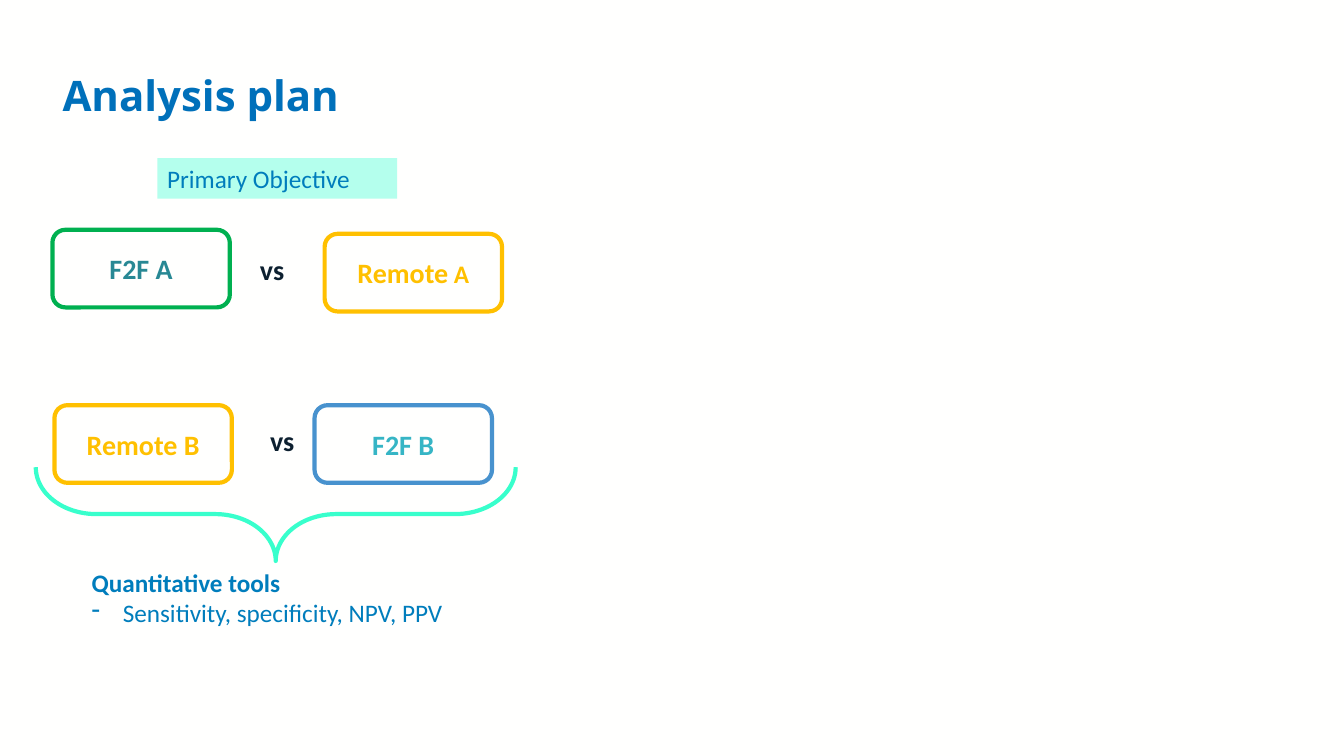
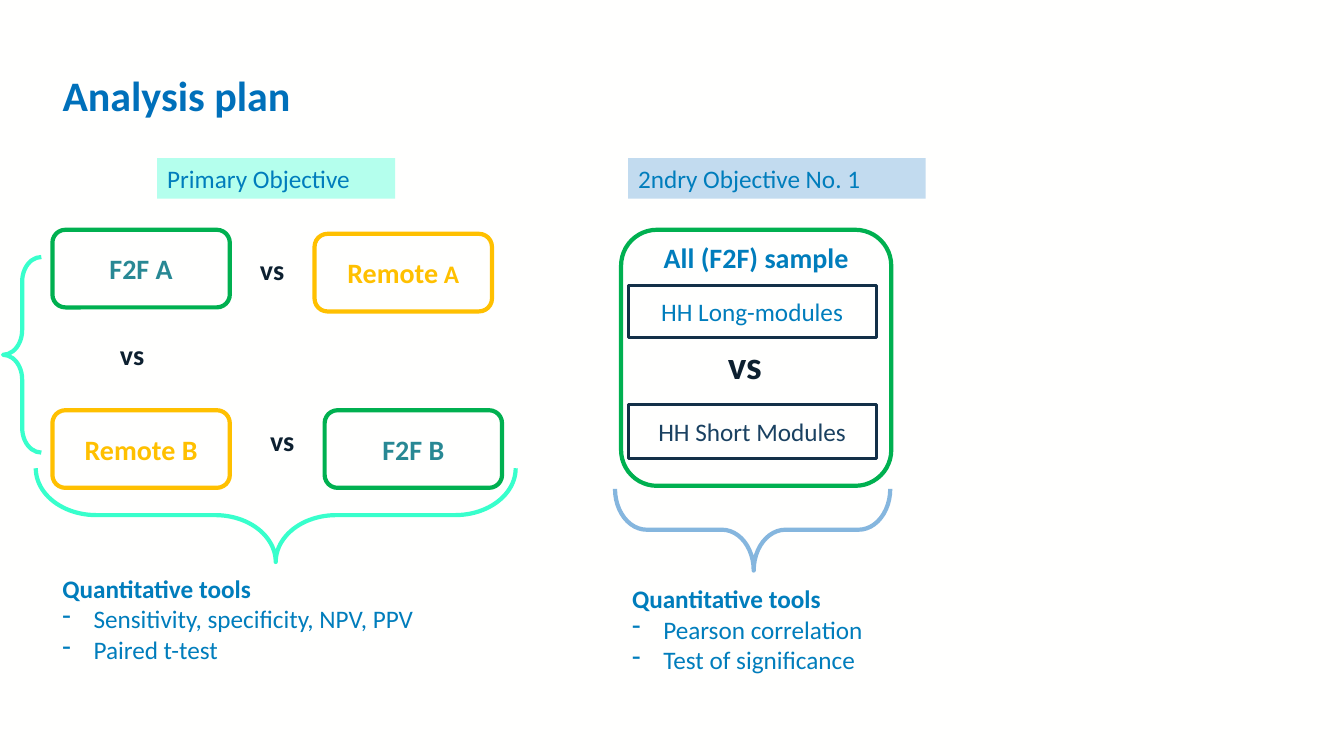
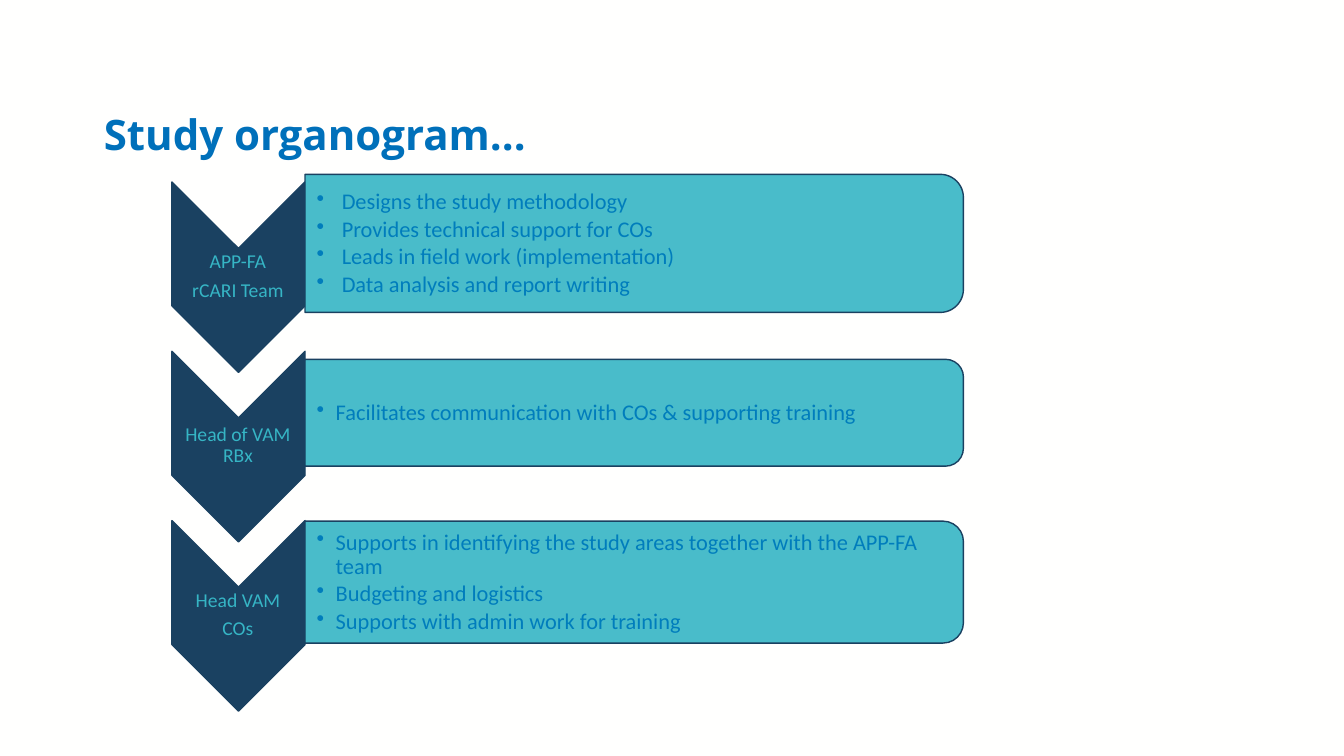
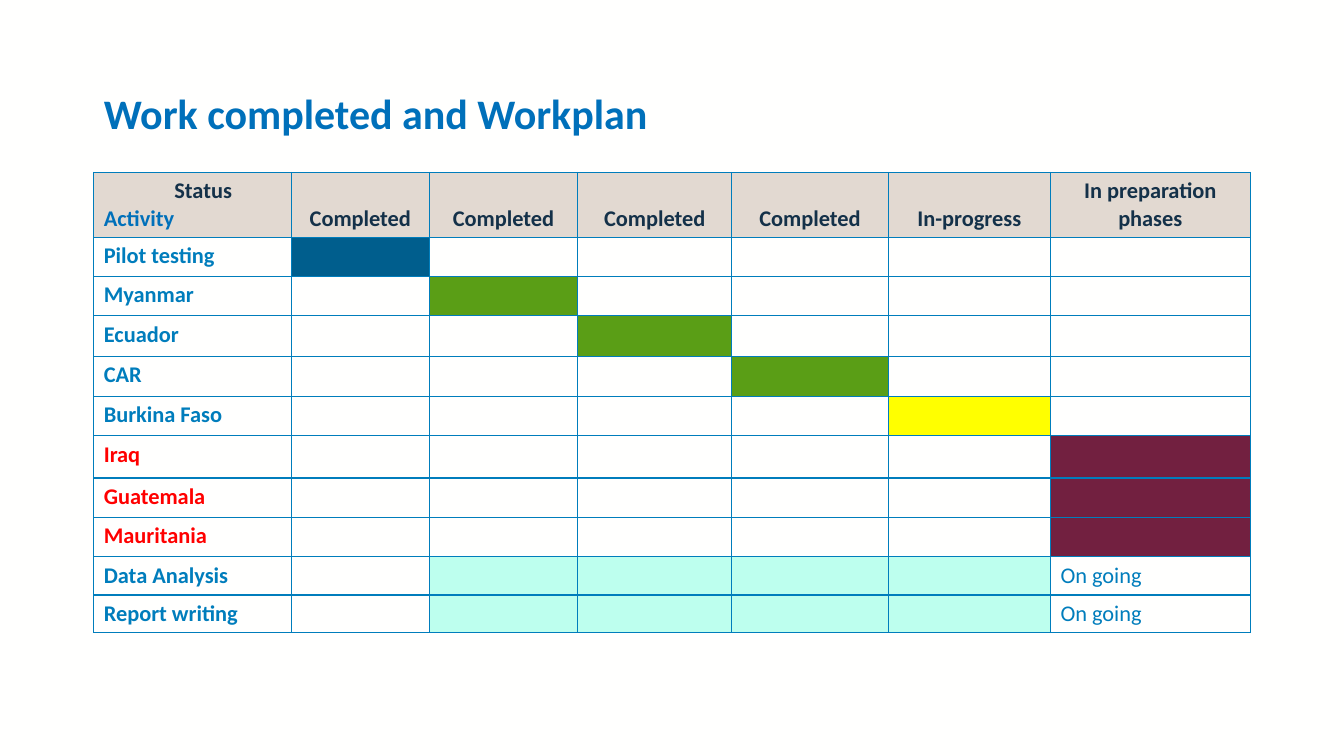
from lxml.etree import SubElement
from pptx import Presentation
from pptx.dml.color import RGBColor
from pptx.enum.shapes import MSO_SHAPE
from pptx.enum.text import MSO_ANCHOR, PP_ALIGN
from pptx.oxml.ns import qn
from pptx.util import Inches, Pt

COLORS = {
    "paper": "FFFFFE", "title": "0070BA", "text": "007DBC", "ink": "0D2030",
    "green": "00B050", "teal": "288894", "gold": "FFC000", "sky": "4892CE",
    "aqua": "36B5C5", "mint": "38FFCC", "pale": "B4FFED", "ice": "C2DBEF",
    "steel": "85B6DE", "navy": "1A4161", "dark": "133048", "head": "143149",
    "sand": "E2D9D1", "blue": "005E8D", "leaf": "5A9E16", "yellow": "FFFF00",
    "wine": "722040", "foam": "BDFFEE", "red": "FF0000",
}

REMOTE = [("Remote", 20), (" A", 18)]
TOOLS = "Quantitative tools"
STATS = "Sensitivity, specificity, NPV, PPV"
PLANS = [
    {
        "font": "Open Sans",
        "cards": [
            (0.52, 2.28, "F2F A", "green", "teal"),
            (3.22, 2.32, REMOTE, "gold", "gold"),
            (0.54, 4.02, "Remote B", "gold", "gold"),
            (3.12, 4.02, "F2F B", "sky", "aqua"),
        ],
        "versus": [(2.48, 2.46), (2.58, 4.15)],
        "braces": [((2.27, 2.72, 0.93, 4.76), 270, 0.645, 0.5, "mint")],
        "tags": [((1.56, 1.57, 2.38, 0.4), "Primary Objective", "pale")],
        "tools": [((0.81, 5.58, 4.45, 0.71), [STATS])],
    },
    {
        "font": "Calibri",
        "cards": [
            (0.52, 2.28, "F2F A", "green", "teal"),
            (3.12, 2.32, REMOTE, "gold", "gold"),
            (0.52, 4.07, "Remote B", "gold", "gold"),
            (3.22, 4.07, "F2F B", "green", "teal"),
        ],
        "versus": [(2.48, 2.46), (2.58, 4.15), (1.09, 3.3)],
        "braces": [
            ((2.27, 2.73, 0.93, 4.76), 270, 0.645, 0.5, "mint"),
            ((7.06, 3.89, 0.81, 2.73), 270, 0.388, 0.504, "steel"),
            ((0.03, 2.55, 0.38, 1.94), 0, 0.645, 0.5, "mint"),
        ],
        "tags": [
            ((1.56, 1.57, 2.36, 0.4), "Primary Objective", "pale"),
            ((6.23, 1.57, 2.95, 0.4), "2ndry Objective No. 1", "ice"),
        ],
        "tools": [
            ((0.52, 5.64, 4.76, 1.01), [STATS, "Paired t-test"]),
            ((6.17, 5.74, 3.15, 1.01), ["Pearson correlation", "Test of significance"]),
        ],
    },
]
MODULES = [
    (2.83, 0.52, "HH Long-modules", "text"),
    (4.01, 0.54, "HH Short Modules", "navy"),
]
TEAMS = [
    (["APP-FA", "rCARI Team"], 1.37, 0.25, [
        "Designs the study methodology",
        "Provides technical support for COs",
        "Leads in field work (implementation)",
        "Data analysis and report writing",
    ]),
    (["Head of VAM RBx"], 1.06, 0.19, [
        "Facilitates communication with COs & supporting training",
    ]),
    (["Head VAM", "COs"], 1.21, 0.19, [
        "Supports in identifying the study areas together with the APP-FA team",
        "Budgeting and logistics",
        "Supports with admin work for training",
    ]),
]
STATUS = ["Completed"] * 4 + ["In-progress", "In preparation phases"]
TASKS = [
    ("Pilot testing", "text", [1], "blue", ""),
    ("Myanmar", "text", [2], "leaf", ""),
    ("Ecuador", "text", [3], "leaf", ""),
    ("CAR", "text", [4], "leaf", ""),
    ("Burkina Faso", "text", [5], "yellow", ""),
    ("Iraq", "red", [6], "wine", ""),
    ("Guatemala", "red", [6], "wine", ""),
    ("Mauritania", "red", [6], "wine", ""),
    ("Data Analysis", "text", [2, 3, 4, 5], "foam", "On going"),
    ("Report writing", "text", [2, 3, 4, 5], "foam", "On going"),
]
WIDTHS = [1.96, 1.37, 1.47, 1.53, 1.55, 1.61, 1.98]
HEIGHTS = [0.64, 0.39, 0.39, 0.4, 0.4, 0.39, 0.42, 0.39, 0.39, 0.38, 0.37]


def rgb(name):
    return RGBColor.from_string(COLORS[name])


def place(at):
    return [Inches(n) for n in at]


def write(para, text, size, color, bold=False, font="Calibri", align=PP_ALIGN.LEFT):
    para.alignment = align
    runs = [(text, size)] if isinstance(text, str) else text
    for words, points in runs:
        run = para.add_run()
        run.text = words
        run.font.name = font
        run.font.size = Pt(points)
        run.font.bold = bold
        run.font.color.rgb = rgb(color)


def paras(frame, count):
    return [frame.paragraphs[0]] + [frame.add_paragraph() for _ in range(count - 1)]


def bullet(para, mark, indent):
    props = para._p.get_or_add_pPr()
    props.set("marL", str(Inches(indent)))
    props.set("indent", str(-Inches(indent)))
    SubElement(props, qn("a:buChar"), char=mark)


def head(slide, text, at, font):
    title = slide.shapes.title
    title.left, title.top, title.width, title.height = place(at)
    frame = title.text_frame
    frame.word_wrap = True
    frame.vertical_anchor = MSO_ANCHOR.MIDDLE
    para = frame.paragraphs[0]
    para.line_spacing = 0.9
    write(para, text, 30, "title", True, font)


def draw(slide, kind, at, fill=None, line=None, width=3, turn=0, adjust=()):
    shape = slide.shapes.add_shape(kind, *place(at))
    shape.shadow.inherit = False
    shape.rotation = turn
    for i, value in enumerate(adjust):
        shape.adjustments[i] = value
    if fill:
        shape.fill.solid()
        shape.fill.fore_color.rgb = rgb(fill)
    else:
        shape.fill.background()
    if line:
        shape.line.color.rgb = rgb(line)
        shape.line.width = Pt(width)
    else:
        shape.line.fill.background()
    return shape


def label(shape, text, size, color, bold=False, align=PP_ALIGN.CENTER):
    write(shape.text_frame.paragraphs[0], text, size, color, bold, align=align)


def textbox(slide, at, insets=None, middle=False):
    frame = slide.shapes.add_textbox(*place(at)).text_frame
    frame.word_wrap = True
    if middle:
        frame.vertical_anchor = MSO_ANCHOR.MIDDLE
    if insets:
        (frame.margin_left, frame.margin_top,
         frame.margin_right, frame.margin_bottom) = place(insets)
    return frame


def versus(slide, left, top, size=20):
    frame = textbox(slide, (left, top, 0.64, size / 50 + 0.04))
    write(frame.paragraphs[0], "vs", size, "ink", True)


def plan(slide, data):
    head(slide, "Analysis plan", (0.52, 0.34, 11.53, 1.26), data["font"])
    for left, top, text, line, color in data["cards"]:
        card = draw(slide, MSO_SHAPE.ROUNDED_RECTANGLE, (left, top, 1.76, 0.77), line=line)
        label(card, text, 20, color, True)
    for left, top in data["versus"]:
        versus(slide, left, top)
    for at, turn, curve, tip, line in data["braces"]:
        draw(slide, MSO_SHAPE.LEFT_BRACE, at, line=line, turn=turn, adjust=(curve, tip))
    for at, text, fill in data["tags"]:
        label(draw(slide, MSO_SHAPE.RECTANGLE, at, fill), text, 18, "text", align=PP_ALIGN.LEFT)
    for at, items in data["tools"]:
        first, *rest = paras(textbox(slide, at), len(items) + 1)
        write(first, TOOLS, 18, "text", True)
        for para, item in zip(rest, items):
            bullet(para, "-", 0.31)
            write(para, item, 18, "text")


def sample(slide):
    card = draw(slide, MSO_SHAPE.ROUNDED_RECTANGLE, (6.16, 2.28, 2.68, 2.54),
                "paper", "green", adjust=(0.14,))
    card.text_frame.vertical_anchor = MSO_ANCHOR.TOP
    card.text_frame.margin_top = 0
    label(card, "All (F2F) sample", 20, "text", True)
    for top, height, text, color in MODULES:
        box = draw(slide, MSO_SHAPE.RECTANGLE, (6.23, top, 2.46, height), "paper", "dark", 2.25)
        label(box, text, 18, color)
    versus(slide, 7.12, 3.33, 28)


def chart(slide):
    head(slide, "Study organogram…", (0.93, 0.73, 11.53, 1.26), "Open Sans")
    for i, (names, depth, indent, duties) in enumerate(TEAMS):
        mid = 2.42 + 1.68 * i
        low = mid + 0.33
        draw(slide, MSO_SHAPE.CHEVRON, (1.42, low - 0.66, 1.89, 1.32), "navy", "navy", 1, 90)
        frame = textbox(slide, (1.7, low - 0.29, 1.32, 0.57), [0.01] * 4, True)
        for para, name in zip(paras(frame, len(names)), names):
            para.line_spacing = 0.9
            para.space_after = Pt(4.9)
            write(para, name, 14, "aqua", align=PP_ALIGN.CENTER)
        panel = draw(slide, MSO_SHAPE.ROUND_2_SAME_RECTANGLE,
                     (6.29 - depth / 2, mid - 3.27, depth, 6.53), "aqua", "navy", 1, 90)
        tint = panel._element.spPr.find(qn("a:solidFill"))[0]
        SubElement(tint, qn("a:alpha"), val="90000")
        height = depth - 0.12
        frame = textbox(slide, (3.02, mid - height / 2, 6.47, height),
                        (0.12, 0.01, 0.01, 0.01), True)
        for para, duty in zip(paras(frame, len(duties)), duties):
            bullet(para, "•", indent)
            para.line_spacing = 0.9
            para.space_after = Pt(2.4)
            write(para, duty, 16, "text")


def style(cell, fill=None):
    props = cell._tc.get_or_add_tcPr()
    for side in ("lnL", "lnR", "lnT", "lnB"):
        line = SubElement(props, qn("a:" + side), w=str(Pt(1)))
        solid = SubElement(line, qn("a:solidFill"))
        SubElement(solid, qn("a:srgbClr"), val=COLORS["text"])
    if fill:
        cell.fill.solid()
        cell.fill.fore_color.rgb = rgb(fill)
    else:
        cell.fill.background()


def work(slide):
    head(slide, "Work completed and Workplan", (0.93, 0.79, 11.29, 0.72), "Calibri")
    at = place((0.93, 1.71, sum(WIDTHS), sum(HEIGHTS)))
    table = slide.shapes.add_table(len(HEIGHTS), len(WIDTHS), *at).table
    table.first_row = table.horz_banding = False
    for col, width in zip(table.columns, WIDTHS):
        col.width = Inches(width)
    for row, height in zip(table.rows, HEIGHTS):
        row.height = Inches(height)
    corner = table.cell(0, 0)
    style(corner, "sand")
    top, base = paras(corner.text_frame, 2)
    top._p.get_or_add_pPr().set("marL", str(Inches(0.7)))
    write(top, "Status", 16, "head", True)
    write(base, "Activity", 16, "title", True)
    for c, text in enumerate(STATUS, 1):
        cell = table.cell(0, c)
        style(cell, "sand")
        cell.vertical_anchor = MSO_ANCHOR.BOTTOM
        write(cell.text_frame.paragraphs[0], text, 16, "head", True, align=PP_ALIGN.CENTER)
    for r, (name, color, active, fill, note) in enumerate(TASKS, 1):
        texts = [name] + [""] * 5 + [note]
        for c, text in enumerate(texts):
            cell = table.cell(r, c)
            style(cell, fill if c in active else None)
            para = cell.text_frame.paragraphs[0]
            if text:
                write(para, text, 16, color, c == 0)
            else:
                SubElement(para._p, qn("a:endParaRPr"), sz="1600")


def main():
    deck = Presentation()
    deck.slide_width, deck.slide_height = Inches(13.33), Inches(7.5)
    back = deck.slide_master.background.fill
    back.solid()
    back.fore_color.rgb = rgb("paper")
    first, second, third, fourth = [
        deck.slides.add_slide(deck.slide_layouts[5]) for _ in range(4)]
    plan(first, PLANS[0])
    plan(second, PLANS[1])
    sample(second)
    chart(third)
    work(fourth)
    deck.save("out.pptx")


if __name__ == "__main__":
    main()
